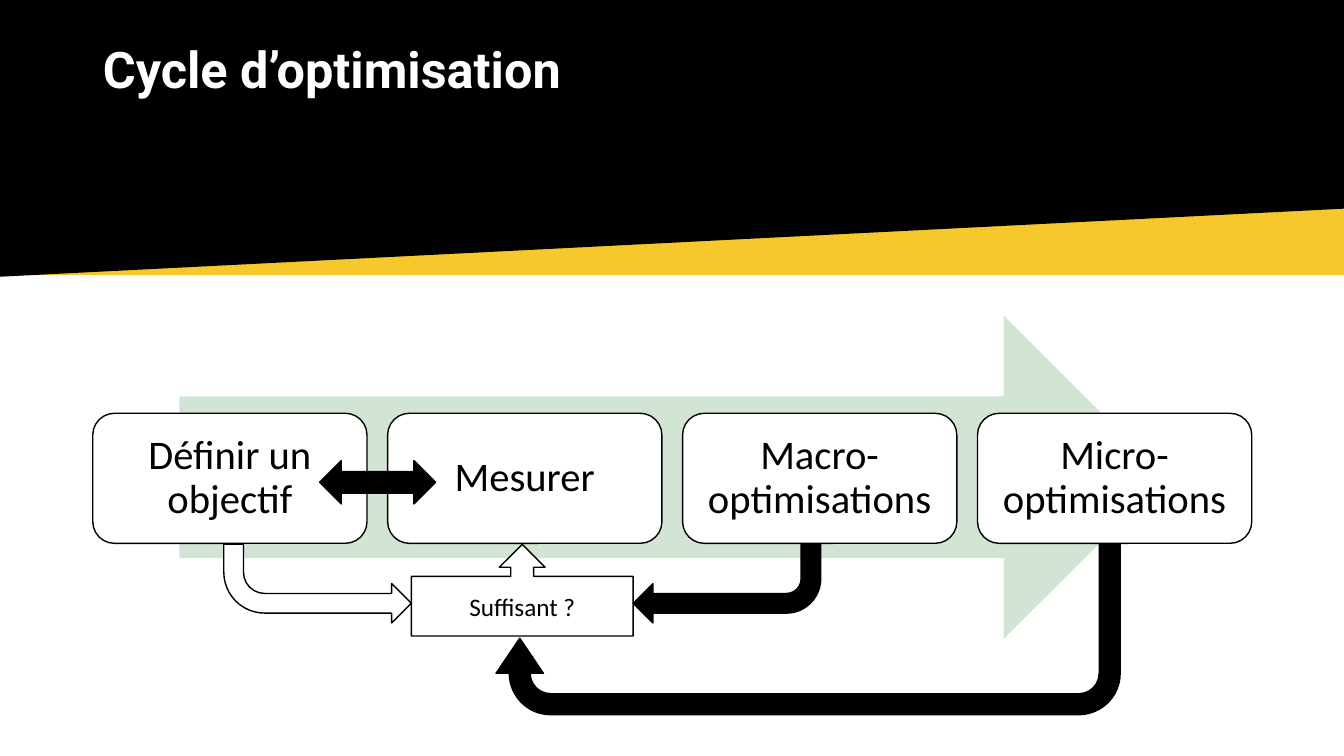
from pptx import Presentation
from pptx.dml.color import RGBColor
from pptx.enum import shapes, text
from pptx.util import Inches, Pt

MS = shapes.MSO_SHAPE
BLACK, WHITE, YELLOW, GREEN = "000000", "FFFFFF", "F6C82B", "D2E5D4"
STEPS = ["Définir un objectif", "Mesurer", "Macro-optimisations", "Micro-optimisations"]


def color(value):
    """Turn a hex string into a colour."""
    return RGBColor.from_string(value)


def apply(target, values):
    """Set attributes from a dict of format values."""
    for name, value in values.items():
        setattr(target, name, value)


def add_shape(s, kind, box, fill, line=BLACK, rotation=0, adj=(), flip=False):
    """Add a flat preset shape."""
    sp = s.shapes.add_shape(kind, *map(Inches, box))
    sp.shadow.inherit = False
    sp.rotation = rotation
    sp.fill.solid()
    sp.fill.fore_color.rgb = color(fill)
    if line:
        sp.line.color.rgb = color(line)
        sp.line.width = Pt(1)
    else:
        sp.line.fill.background()
    for i, value in enumerate(adj):
        sp.adjustments[i] = value
    if flip:
        sp._element.spPr.xfrm.set("flipV", "1")
    return sp


def write(sp, words, frame, para, font, font_color):
    """Fill a shape with one formatted paragraph."""
    tf = sp.text_frame
    tf.text = words
    apply(tf, {"word_wrap": True, **frame})
    p = tf.paragraphs[0]
    apply(p, para)
    r = p.runs[0]
    apply(r.font, font)
    r.font.color.rgb = color(font_color)


def add_title(s, words):
    """Place and format the title placeholder."""
    sp = s.shapes.title
    apply(sp, {"left": Inches(0.92), "top": Inches(0.4),
               "width": Inches(11.5), "height": Inches(0.75)})
    write(sp, words,
          {"vertical_anchor": text.MSO_ANCHOR.TOP, "auto_size": text.MSO_AUTO_SIZE.NONE},
          {"alignment": text.PP_ALIGN.LEFT, "line_spacing": 0.9},
          {"name": "Roboto", "size": Pt(36), "bold": True}, WHITE)


def add_label(sp, words, size, spacing=1.0, margin=0.1):
    """Write a centred label in a shape."""
    sides = ("margin_left", "margin_right", "margin_top", "margin_bottom")
    frame = {side: Inches(margin) for side in sides}
    frame["vertical_anchor"] = text.MSO_ANCHOR.MIDDLE
    write(sp, words, frame,
          {"alignment": text.PP_ALIGN.CENTER, "line_spacing": spacing},
          {"name": "Calibri", "size": Pt(size)}, BLACK)


def add_steps(s):
    """Draw the background arrow and the row of steps."""
    add_shape(s, MS.RIGHT_ARROW, (1.78, 3.13, 9.78, 3.21), GREEN, None)
    for i, step in enumerate(STEPS):
        sp = add_shape(s, MS.ROUNDED_RECTANGLE, (0.92 + 2.925 * i, 4.1, 2.72, 1.29), WHITE)
        add_label(sp, step, 29, 0.9, 0.12)


def add_loop(s):
    """Draw the check box and the arrows around it."""
    check = add_shape(s, MS.UP_ARROW_CALLOUT, (4.08, 5.4, 2.2, 0.91), WHITE)
    add_label(check, "Suffisant ?", 18, margin=0.05)
    add_shape(s, MS.BENT_ARROW, (2.22, 5.4, 1.86, 0.78), WHITE,
              adj=(0.25, 0.25, 0.25, 0.52), flip=True)
    add_shape(s, MS.U_TURN_ARROW, (4.92, 5.4, 6.19, 1.69), BLACK, rotation=180,
              adj=(0.123, 0.139, 0.206, 0.244, 0.449))
    add_shape(s, MS.BENT_ARROW, (6.28, 5.4, 1.86, 0.78), BLACK, rotation=180)
    add_shape(s, MS.LEFT_RIGHT_ARROW, (3.17, 4.57, 1.15, 0.43), BLACK)


def add_banner(s):
    """Draw the slanted banner behind the title."""
    bands = [add_shape(s, MS.RECTANGLE, (-0.33, 0.43, 14.65, 2.3), YELLOW, None),
             add_shape(s, MS.RECTANGLE, (-0.27, -0.39, 14.65, 2.77), BLACK, rotation=357.1)]
    for band in bands:
        s.shapes.title._element.addprevious(band._element)


def main():
    """Build the slide and save it."""
    prs = Presentation()
    apply(prs, {"slide_width": Inches(13.33), "slide_height": Inches(7.5)})
    s = prs.slides.add_slide(prs.slide_layouts[5])
    add_banner(s)
    add_title(s, "Cycle d’optimisation")
    add_steps(s)
    add_loop(s)
    prs.save("out.pptx")


if __name__ == "__main__":
    main()
